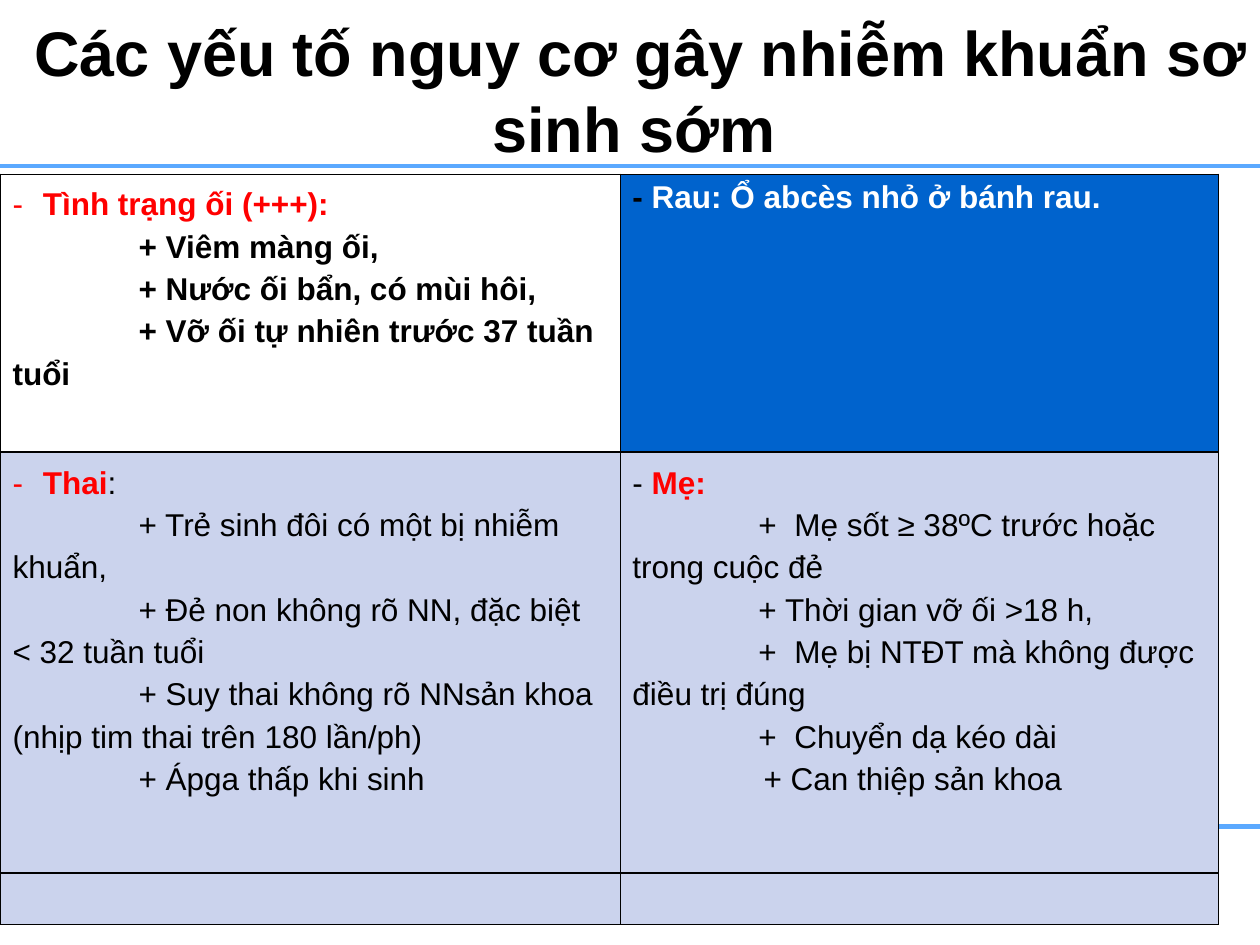
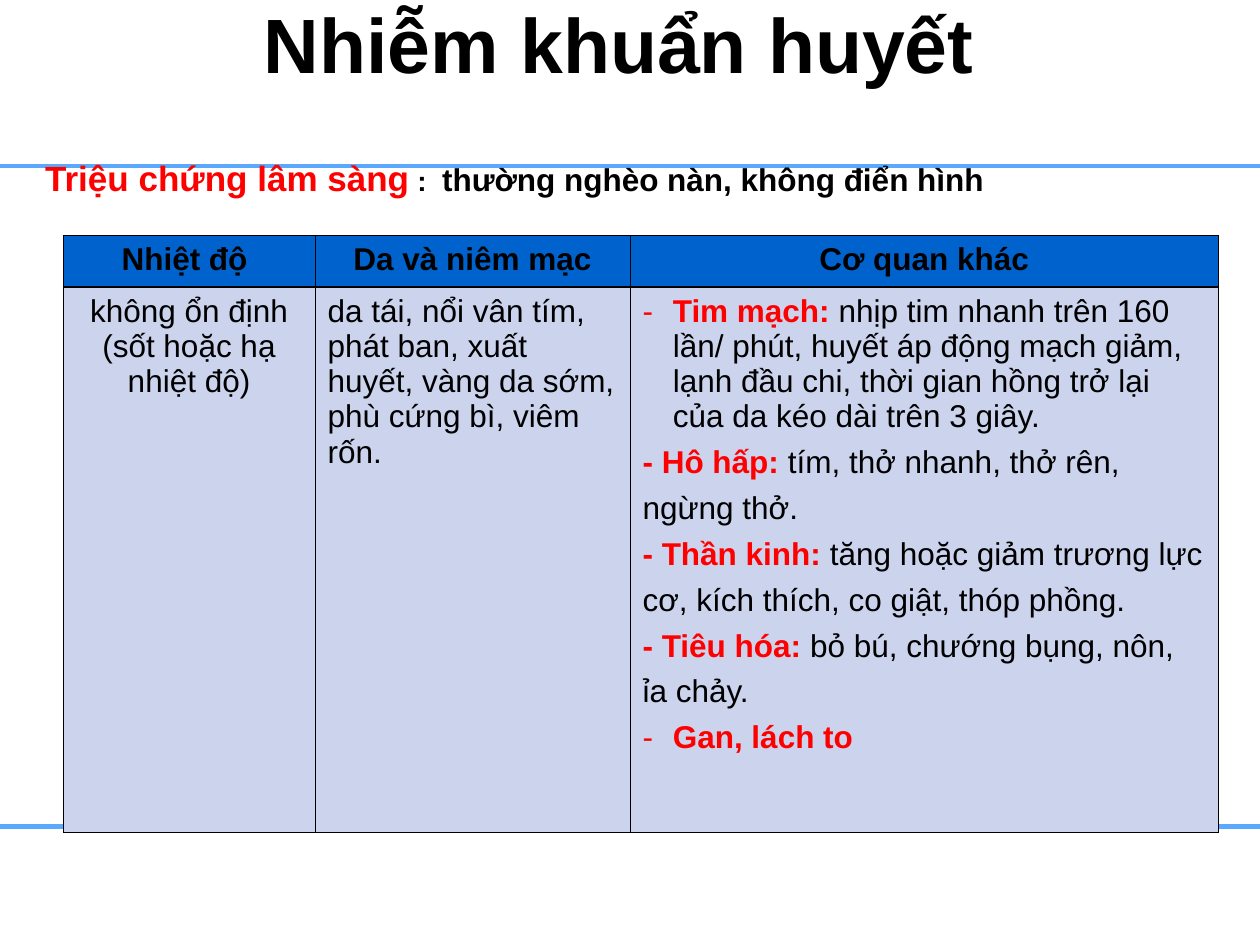
"""Build two slides on early neonatal infection."""
from dataclasses import dataclass
from typing import NamedTuple

from lxml.etree import SubElement
from pptx import Presentation
from pptx.dml.color import RGBColor
from pptx.enum.shapes import MSO_CONNECTOR
from pptx.enum.text import MSO_ANCHOR, MSO_AUTO_SIZE, PP_ALIGN
from pptx.oxml.ns import qn
from pptx.util import Inches, Pt

FONT = "Arial"
BLACK, WHITE, RED = "000000", "FFFFFF", "FF0000"
RULE_BLUE, HEADER_BLUE, PALE_BLUE = "5BA9FF", "0063CD", "CBD3ED"
RULE_TOPS = (1.32, 6.56)
THIN, THICK = 0.45, 1.47
BULLET_INDENT = 0.24
CENTER = PP_ALIGN.CENTER


class Run(NamedTuple):
    text: str
    color: str = BLACK
    bold: bool = False
    size: float = 18
    tracking: float = 0


@dataclass
class Line:
    runs: list[Run]
    spacing: float = 1.0
    bullet: bool = False
    align: PP_ALIGN = PP_ALIGN.LEFT
    first_indent: float = 0


class Cell(NamedTuple):
    lines: list[Line]
    fill: str = PALE_BLUE


class Box(NamedTuple):
    left: float
    top: float
    width: float
    height: float


WIDE_SPACE = Run(" ", tracking=5)


def rgb(color: str) -> RGBColor:
    return RGBColor.from_string(color)


def set_all(target, values: dict) -> None:
    for name, value in values.items():
        setattr(target, name, value)


def fill_color(parent, color: str) -> None:
    fill = SubElement(parent, qn("a:solidFill"))
    SubElement(fill, qn("a:srgbClr"), val=color)


def format_line(paragraph, line: Line) -> None:
    properties = paragraph._p.get_or_add_pPr()
    indent = -BULLET_INDENT if line.bullet else line.first_indent
    properties.set("marL", str(Inches(BULLET_INDENT if line.bullet else 0)))
    properties.set("indent", str(Inches(indent)))
    if line.bullet:
        bullet_color = SubElement(properties, qn("a:buClr"))
        SubElement(bullet_color, qn("a:srgbClr"), val=RED)
        SubElement(properties, qn("a:buFont"), typeface=FONT)
        SubElement(properties, qn("a:buChar"), char="-")
    else:
        SubElement(properties, qn("a:buNone"))
    set_all(paragraph, {"alignment": line.align, "line_spacing": line.spacing,
                        "space_before": Pt(0), "space_after": Pt(0)})


def write_lines(text_frame, lines: list[Line]) -> None:
    for index, line in enumerate(lines):
        paragraph = text_frame.add_paragraph() if index else text_frame.paragraphs[0]
        format_line(paragraph, line)
        for item in line.runs:
            run = paragraph.add_run()
            run.text = item.text
            set_all(run.font, {"name": FONT, "size": Pt(item.size), "bold": item.bold})
            run.font.color.rgb = rgb(item.color)
            if item.tracking:
                run._r.get_or_add_rPr().set("spc", str(round(item.tracking * 100)))


def place(shape, box: Box) -> None:
    set_all(shape, {name: Inches(value) for name, value in box._asdict().items()})


def add_titled_slide(presentation, box: Box, anchor: MSO_ANCHOR, runs: list[Run]):
    slide = presentation.slides.add_slide(presentation.slide_layouts[5])
    for top in RULE_TOPS:
        rule = slide.shapes.add_connector(
            MSO_CONNECTOR.STRAIGHT, Inches(0), Inches(top), Inches(10), Inches(top))
        rule.line.color.rgb = rgb(RULE_BLUE)
        rule.line.width = Pt(2.5)
        SubElement(rule._element.spPr, qn("a:effectLst"))
    title = slide.shapes.title
    place(title, box)
    set_all(title.text_frame, {
        "word_wrap": True, "auto_size": MSO_AUTO_SIZE.NONE, "vertical_anchor": anchor,
        "margin_left": Inches(0.05), "margin_right": Inches(0.05),
        "margin_top": Inches(0.05), "margin_bottom": Inches(0.05)})
    write_lines(title.text_frame, [Line(runs, align=CENTER)])
    return slide


def add_borders(cell, top: float, bottom: float) -> None:
    properties = cell._tc.get_or_add_tcPr()
    for side, width in {"L": THIN, "R": THIN, "T": top, "B": bottom}.items():
        border = SubElement(properties, qn(f"a:ln{side}"), w=str(Pt(width)))
        fill_color(border, BLACK)


def add_grid(slide, left: float, top: float, widths: list[float],
             heights: list[float], rows: list[list[Cell]]) -> None:
    table = slide.shapes.add_table(
        len(heights), len(widths), Inches(left), Inches(top),
        Inches(sum(widths)), Inches(sum(heights))).table
    set_all(table, {"first_row": False, "horz_banding": False})
    for column, width in zip(table.columns, widths):
        column.width = Inches(width)
    for index, (row, height, contents) in enumerate(zip(table.rows, heights, rows)):
        row.height = Inches(height)
        top_width = THICK if index else THIN
        bottom_width = THICK if index < len(rows) - 1 else THIN
        for cell, content in zip(row.cells, contents):
            add_borders(cell, top_width, bottom_width)
            cell.fill.solid()
            cell.fill.fore_color.rgb = rgb(content.fill)
            write_lines(cell.text_frame, content.lines)


def risk_item(text: str, bold: bool = False, indent: float = 1) -> Line:
    return Line([Run(f"+ {text}", bold=bold)], 1.2, first_indent=indent)


def wide_risk_item(text: str) -> Line:
    return Line([Run("+"), WIDE_SPACE, Run(text)], 1.2, first_indent=1)


def organ_line(name: str, signs: str, **options) -> Line:
    return Line([Run(name, RED, True), Run(signs)], **options)


def build_risk_slide(presentation) -> None:
    slide = add_titled_slide(
        presentation, Box(0.17, 0.06, 9.83, 1.3), MSO_ANCHOR.MIDDLE,
        [Run("Các yếu tố nguy cơ gây nhiễm khuẩn sơ sinh sớm", BLACK, True, 36),
         Run(" ", BLACK, True, 28)])
    amnion = [
        Line([Run("Tình trạng ối (+++):", RED, True)], 1.2, True),
        risk_item("Viêm màng ối,", True),
        risk_item("Nước ối bẩn, có mùi hôi,", True),
        risk_item("Vỡ ối tự nhiên trước 37 tuần tuổi", True)]
    placenta = [Line([Run("- ", bold=True),
                      Run("Rau: Ổ abcès nhỏ ở bánh rau.", WHITE, True)])]
    fetus = [
        Line([Run("Thai", RED, True), Run(":")], 1.2, True),
        risk_item("Trẻ sinh đôi có một bị nhiễm khuẩn,"),
        risk_item("Đẻ non không rõ NN, đặc biệt < 32 tuần tuổi"),
        risk_item("Suy thai không rõ NNsản khoa (nhịp tim thai trên 180 lần/ph)"),
        risk_item("Ápga thấp khi sinh")]
    mother = [
        Line([Run("- "), Run("Mẹ:", RED, True)], 1.2),
        wide_risk_item("Mẹ sốt ≥ 38ºC trước hoặc trong cuộc đẻ"),
        risk_item("Thời gian vỡ ối >18 h,"),
        wide_risk_item("Mẹ bị NTĐT mà không được điều trị đúng"),
        wide_risk_item("Chuyển dạ kéo dài"),
        risk_item("Can thiệp sản khoa", indent=1.04)]
    add_grid(slide, 0, 1.38, [4.92, 4.75], [2.21, 3.34, 0.4], [
        [Cell(amnion, WHITE), Cell(placenta, HEADER_BLUE)],
        [Cell(fetus), Cell(mother)],
        [Cell([]), Cell([])]])


def build_sepsis_slide(presentation) -> None:
    slide = add_titled_slide(
        presentation, Box(0.5, -0.08, 9, 1.25), MSO_ANCHOR.TOP,
        [Run("Nhiễm khuẩn huyết ", BLACK, True, 44)])
    headers = [Cell([Line([Run(text, bold=True)], align=CENTER)], HEADER_BLUE)
               for text in ("Nhiệt độ ", "Da và niêm mạc", "Cơ quan khác")]
    temperature = [Line([Run("không ổn định (sốt hoặc hạ nhiệt độ)")], align=CENTER)]
    skin = [Line([Run("da tái, nổi vân tím, phát ban, xuất huyết, vàng da sớm, "
                      "phù cứng bì, viêm rốn.")])]
    organs = [
        organ_line("Tim mạch: ", "nhịp tim nhanh trên 160 lần/ phút, huyết áp động mạch "
                   "giảm, lạnh đầu chi, thời gian hồng trở lại của da kéo dài trên "
                   "3 giây.", bullet=True),
        organ_line("- Hô hấp: ", "tím, thở nhanh, thở rên, ngừng thở.", spacing=1.3),
        organ_line("- Thần kinh: ", "tăng hoặc giảm trương lực cơ, kích thích, co giật, "
                   "thóp phồng.", spacing=1.3),
        organ_line("- Tiêu hóa: ", "bỏ bú, chướng bụng, nôn, ỉa chảy.", spacing=1.3),
        Line([Run("Gan, lách to", RED, True)], 1.3, True)]
    add_grid(slide, 0.5, 1.87, [2, 2.5, 4.67], [0.41, 4.33],
             [headers, [Cell(temperature), Cell(skin), Cell(organs)]])
    subtitle = slide.shapes.add_textbox(
        Inches(0.26), Inches(1.09), Inches(7.81), Inches(0.84))
    subtitle.text_frame.word_wrap = False
    write_lines(subtitle.text_frame, [Line(
        [Run("Triệu chứng lâm sàng", RED, True, 20), Run(" :", BLACK, True, 16),
         WIDE_SPACE._replace(bold=True, size=16, tracking=4.4),
         Run("thường nghèo nàn, không điển hình", BLACK, True)], 1.3)])


def main() -> None:
    presentation = Presentation()
    set_all(presentation, {"slide_width": Inches(10), "slide_height": Inches(7.5)})
    build_risk_slide(presentation)
    build_sepsis_slide(presentation)
    presentation.save("out.pptx")


if __name__ == "__main__":
    main()
